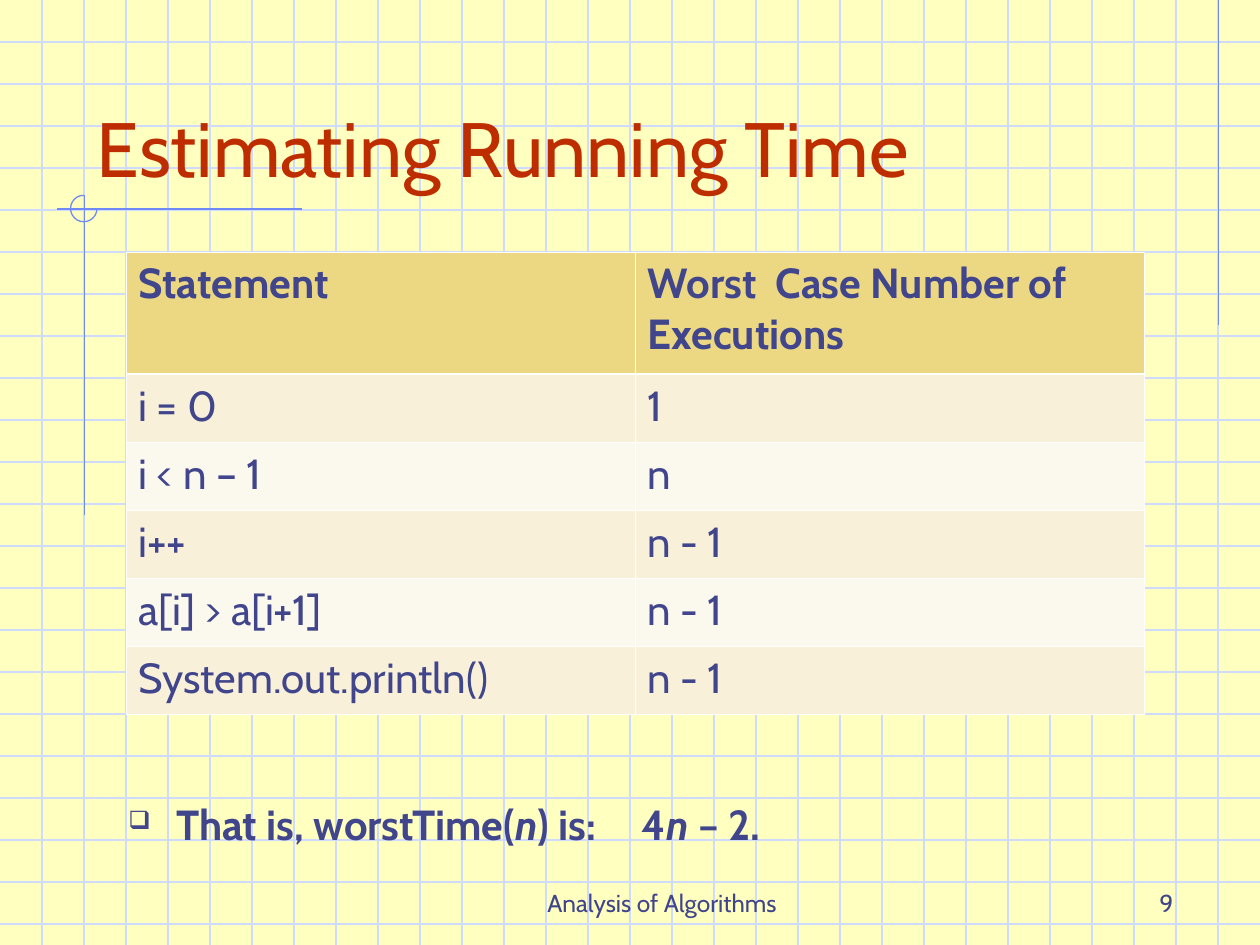
from lxml import etree
from pptx import Presentation
from pptx.dml.color import RGBColor
from pptx.enum import shapes, text
from pptx.oxml.ns import qn
from pptx.util import Inches, Pt

# Content
TITLE = "Estimating Running Time"
ROWS = [
    ("Statement", "Worst  Case Number of Executions"),
    ("i = 0", "1"),
    ("i < n – 1", "n"),
    ("i++", "n - 1"),
    ("a[i] > a[i+1]", "n - 1"),
    ("System.out.println()", "n - 1"),
]
CONCLUSION = [("That is, worstTime(", False), ("n", True), (") is:\t 4", False),
              ("n", True), (" – 2.", False)]
FOOTER, PAGE = "Analysis of Algorithms", "9"

# Style
FONT = "Cabin"
PAPER = RGBColor(0xFF, 0xFF, 0xBF)
GRID = RGBColor(0xCF, 0xDB, 0xFD)
BLUE = RGBColor(0x6F, 0x89, 0xF7)
INK = RGBColor(0x40, 0x45, 0x8C)
RED = RGBColor(0xBE, 0x2D, 0x00)
HEAD = RGBColor(0xEC, 0xD8, 0x82)
BANDS = [RGBColor(0xFB, 0xF8, 0xED), RGBColor(0xF8, 0xF0, 0xD8)]
WIDTH, HEIGHT, STEP = 10, 7.5, 1 / 3

prs = Presentation()
prs.slide_width, prs.slide_height = Inches(WIDTH), Inches(HEIGHT)
s = prs.slides.add_slide(prs.slide_layouts[6])
s.background.fill.solid()
s.background.fill.fore_color.rgb = PAPER


def add_line(x1, y1, x2, y2, color):
    c = s.shapes.add_connector(shapes.MSO_CONNECTOR.STRAIGHT,
                               Inches(x1), Inches(y1), Inches(x2), Inches(y2))
    c.line.color.rgb, c.line.width = color, Pt(0.75)
    etree.SubElement(c._element.spPr, qn("a:effectLst"))


def style(r, size, color=INK, bold=False, italic=False):
    f = r.font
    f.name, f.size, f.bold, f.italic = FONT, Pt(size), bold, italic
    f.color.rgb = color


def add_text(box, runs, size, color=INK, bold=False,
             align=text.PP_ALIGN.LEFT, anchor=text.MSO_ANCHOR.BOTTOM):
    tf = s.shapes.add_textbox(*map(Inches, box)).text_frame
    tf.word_wrap, tf.vertical_anchor = True, anchor
    p = tf.paragraphs[0]
    p.alignment = align
    for words, italic in runs:
        r = p.add_run()
        r.text = words
        style(r, size, color, bold, italic)
    return p


def add_border(cell, side, width):
    ln = etree.SubElement(cell._tc.get_or_add_tcPr(), qn(f"a:ln{side}"), w=str(Pt(width)))
    fill = etree.SubElement(ln, qn("a:solidFill"))
    etree.SubElement(fill, qn("a:srgbClr"), val="FFFFFF")


# Graph paper
for i in range(1, 23):
    add_line(0, i * STEP, WIDTH, i * STEP, GRID)
for i in range(1, 30):
    add_line(i * STEP, 0, i * STEP, HEIGHT, GRID)

# Accent lines and open circle
add_line(9.67, 0, 9.67, 2.58, BLUE)
add_line(2.4, 1.66, 0.45, 1.66, BLUE)
add_line(0.67, 1.55, 0.67, 4.09, BLUE)
arc = s.shapes.add_shape(shapes.MSO_SHAPE.ARC, Inches(0.56), Inches(1.55),
                         Inches(0.21), Inches(0.21))
arc.adjustments[0], arc.adjustments[1] = 0, 162  # 0 to 270 degrees
arc.shadow.inherit = False
arc.fill.background()
arc.line.color.rgb, arc.line.width = BLUE, Pt(0.75)

# Footer and title
add_text((3.67, 6.83, 3.17, 0.5), [(FOOTER, False)], 14, align=text.PP_ALIGN.CENTER)
add_text((7.33, 6.83, 2.08, 0.5), [(PAGE, False)], 14, align=text.PP_ALIGN.RIGHT)
add_text((0.67, 0.33, 8.5, 1.25), [(TITLE, False)], 44, RED)

# Conclusion with a box bullet and a tab before the result
p = add_text((0.92, 6.29, 8.5, 0.52), CONCLUSION, 24, bold=True,
             anchor=text.MSO_ANCHOR.TOP)
pPr = p._p.get_or_add_pPr()
pPr.set("marL", str(Inches(0.38)))
pPr.set("indent", str(Inches(-0.38)))
etree.SubElement(pPr, qn("a:buSzPct"), val="60000")
etree.SubElement(pPr, qn("a:buChar"), char="❑")
tabs = etree.SubElement(pPr, qn("a:tabLst"))
etree.SubElement(tabs, qn("a:tab"), pos=str(Inches(4)), algn="l")

# Statement table
t = s.shapes.add_table(len(ROWS), 2, Inches(1), Inches(2), Inches(8.08), Inches(3.67)).table
for col in t.columns:
    col.width = Inches(4.04)
for i, row in enumerate(ROWS):
    t.rows[i].height = Inches(0.54 if i else 0.97)
    for j, words in enumerate(row):
        cell = t.cell(i, j)
        for side in "LRTB":
            thick = (i, side) in ((0, "B"), (1, "T"))
            add_border(cell, side, 1.47 if thick else 0.45)
        cell.fill.solid()
        cell.fill.fore_color.rgb = BANDS[i % 2] if i else HEAD
        cell.text_frame.text = words
        style(cell.text_frame.paragraphs[0].runs[0], 24, bold=i == 0)

prs.save("out.pptx")
